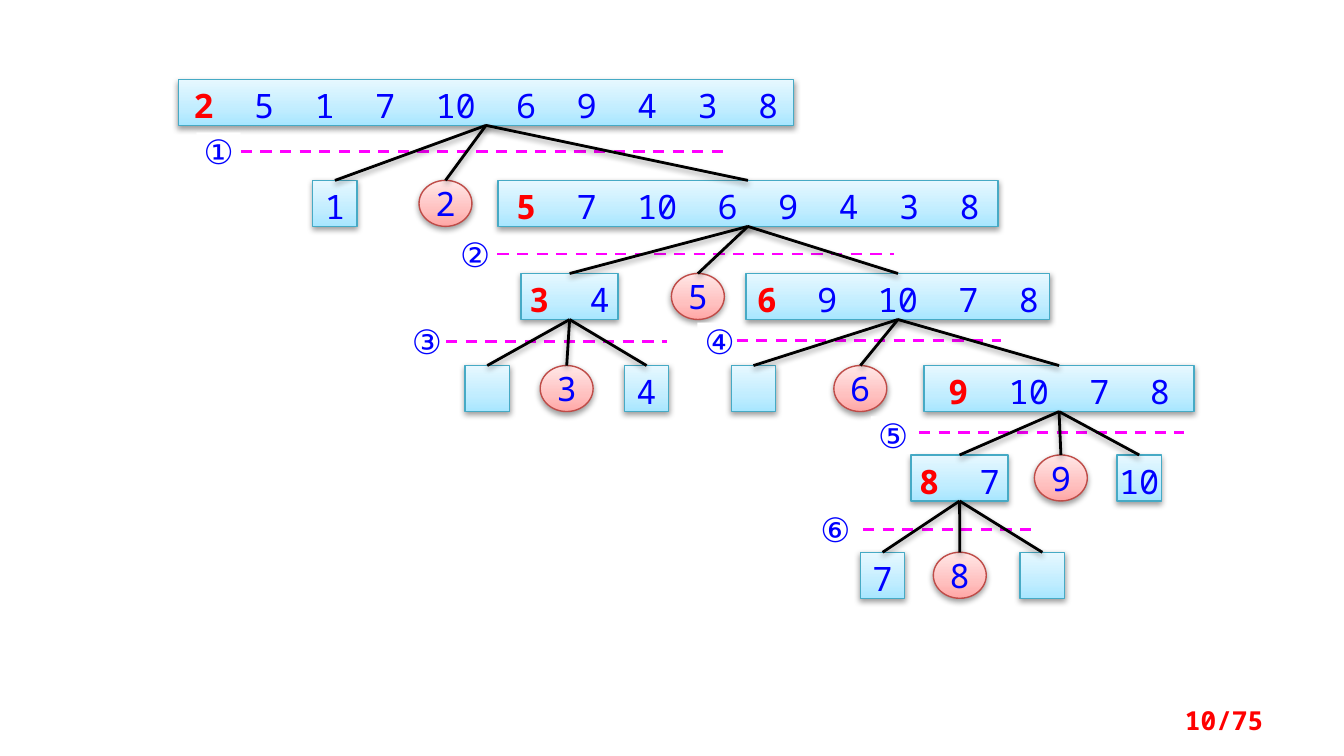
"""Build a slide that traces quicksort partitions as a tree."""
import copy
import pptx
import pptx.util
import pptx.dml.color
import pptx.enum.dml
import pptx.enum.shapes
import pptx.enum.text
import pptx.oxml
import pptx.oxml.ns

Cm, Pt = pptx.util.Cm, pptx.util.Pt
RGB = pptx.dml.color.RGBColor.from_string
SHAPE = pptx.enum.shapes.MSO_SHAPE
ALIGN = pptx.enum.text.PP_ALIGN
MIDDLE = pptx.enum.text.MSO_ANCHOR.MIDDLE

THEME = {
    "font": "Noto Sans Mono", "size": 18, "small": 14,
    "ink": "0000FF", "pivot": "FF0000", "edge": "000000",
    "dash": "FF00FF", "paper": "FFFFFF",
    "list": (("A7E6FF", "C1EDFF", "E7F8FF"), "46AAC5"),
    "ball": (("FFA6A5", "FFC0BF", "FFE7E7"), "BF4C48"),
}
STOPS = (0, 0.35, 1)
TALL, CELL, BALL = 0.87, 0.84, 1.0
TAG = 0.71
GAP = "1080"

ROOT = (3.37, 1.5, 11.63, "2 5 1 7 10 6 9 4 3 8")
STEPS = [
    {"tag": ("①", 3.71, 2.51), "dash": (4.55, 2.87, 9.14), "from": ROOT[3], "top": 3.41,
     "kids": [(5.91, CELL, "1"), (7.92, BALL, "2"), (9.41, 9.45, "5 7 10 6 9 4 3 8")]},
    {"tag": ("②", 8.56, 4.45), "dash": (9.4, 4.8, 7.49), "from": "5 7 10 6 9 4 3 8", "top": 5.17,
     "kids": [(9.85, 1.83, "3 4"), (12.69, BALL, "5"), (14.1, 5.74, "6 9 10 7 8")]},
    {"tag": ("③", 7.65, 6.1), "dash": (8.43, 6.45, 4.17), "from": "3 4", "top": 6.91,
     "kids": [(8.79, CELL, ""), (10.21, BALL, "3"), (11.8, CELL, "4")]},
    {"tag": ("④", 13.18, 6.1), "dash": (13.92, 6.43, 5), "from": "6 9 10 7 8", "top": 6.91,
     "kids": [(13.82, CELL, ""), (15.76, BALL, "6"), (17.46, 5.11, "9 10 7 8")]},
    {"tag": ("⑤", 16.46, 7.87), "dash": (17.37, 8.17, 5), "from": "9 10 7 8", "top": 8.6,
     "kids": [(17.22, 1.83, "8 7"), (19.55, BALL, "9"), (21.11, CELL, "10")]},
    {"tag": ("⑥", 15.37, 9.65), "dash": (16.31, 10.01, 3.33), "from": "8 7", "top": 10.44,
     "kids": [(16.26, CELL, "7"), (17.64, BALL, "8"), (19.28, CELL, "")]},
]
PAGE = ("10/75", 18.21, 13.23, 5.92, 0.76)


def style(para, size, color, align):
    para.alignment = align
    para.font.name = THEME["font"]
    para.font.size = Pt(size)
    para.font.color.rgb = RGB(color)


def shade(item, shown=True):
    xml = "<a:effectLst %s>%s</a:effectLst>" % (
        pptx.oxml.ns.nsdecls("a"),
        '<a:outerShdw blurRad="40000" dist="20000" dir="5400000" rotWithShape="0">'
        '<a:srgbClr val="000000"><a:alpha val="38000"/></a:srgbClr></a:outerShdw>' if shown else "")
    item._element.spPr.append(pptx.oxml.parse_xml(xml))


def paint(shape, look):
    tints, rim = THEME[look]
    shape.fill.gradient()
    shape.fill.gradient_angle = 90
    stops = shape._element.spPr.find(".//" + pptx.oxml.ns.qn("a:gsLst"))
    stops.append(copy.deepcopy(stops[0]))
    for stop, place, tint in zip(shape.fill.gradient_stops, STOPS, tints):
        stop.position = place
        stop.color.rgb = RGB(tint)
    shape.line.color.rgb = RGB(rim)
    shape.line.width = Pt(0.75)
    shade(shape)


def write(shape, text, top=0):
    frame = shape.text_frame
    frame.word_wrap = True
    frame.vertical_anchor = MIDDLE
    frame.margin_left = frame.margin_right = frame.margin_bottom = 0
    frame.margin_top = Cm(top)
    para = frame.paragraphs[0]
    style(para, THEME["size"], THEME["ink"], ALIGN.CENTER)
    words = text.split()
    for spot, word in enumerate(words):
        if spot:
            space = para.add_run()
            space.text = " "
            space._r.get_or_add_rPr().set("spc", GAP)
        run = para.add_run()
        run.text = word
        if spot == 0 and len(words) > 1:
            run.font.bold = True
            run.font.color.rgb = RGB(THEME["pivot"])


def node(slide, left, top, wide, text, look="list"):
    kind = SHAPE.OVAL if look == "ball" else SHAPE.RECTANGLE
    shape = slide.shapes.add_shape(kind, Cm(left), Cm(top), Cm(wide), Cm(TALL))
    paint(shape, look)
    if text:
        write(shape, text, 0 if look == "ball" else 0.1)
    return shape


def label(slide, text, left, top):
    shape = slide.shapes.add_shape(SHAPE.RECTANGLE, Cm(left), Cm(top), Cm(CELL), Cm(TAG))
    shape.fill.solid()
    shape.fill.fore_color.rgb = RGB(THEME["paper"])
    shape.line.fill.background()
    shape.shadow.inherit = False
    write(shape, text)


def line(slide, color, left=0, top=0, wide=0):
    kind = pptx.enum.shapes.MSO_CONNECTOR.STRAIGHT
    link = slide.shapes.add_connector(kind, Cm(left), Cm(top), Cm(left + wide), Cm(top))
    link.line.color.rgb = RGB(color)
    link.line.width = Pt(1.5)
    return link


def split(slide, step, nodes):
    kids = []
    for (left, wide, text), look in zip(step["kids"], ("list", "ball", "list")):
        kid = node(slide, left, step["top"], wide, text, look)
        kids.append(kid)
        nodes[text] = kid
    label(slide, *step["tag"])
    rule = line(slide, THEME["dash"], *step["dash"])
    rule.line.dash_style = pptx.enum.dml.MSO_LINE.DASH
    shade(rule, False)
    for kid in kids:
        edge = line(slide, THEME["edge"])
        edge.begin_connect(nodes[step["from"]], 2)
        edge.end_connect(kid, 0)
        shade(edge)


def number(slide):
    text, *place = PAGE
    frame = slide.shapes.add_textbox(*map(Cm, place)).text_frame
    frame.word_wrap = True
    frame.vertical_anchor = MIDDLE
    para = frame.paragraphs[0]
    para.text = text
    style(para, THEME["small"], THEME["pivot"], ALIGN.RIGHT)
    para.font.bold = True


def main():
    deck = pptx.Presentation()
    deck.slide_width, deck.slide_height = Cm(25.4), Cm(14.29)
    slide = deck.slides.add_slide(deck.slide_layouts[6])
    nodes = {ROOT[3]: node(slide, *ROOT)}
    for step in STEPS:
        split(slide, step, nodes)
    number(slide)
    deck.save("out.pptx")


if __name__ == "__main__":
    main()
